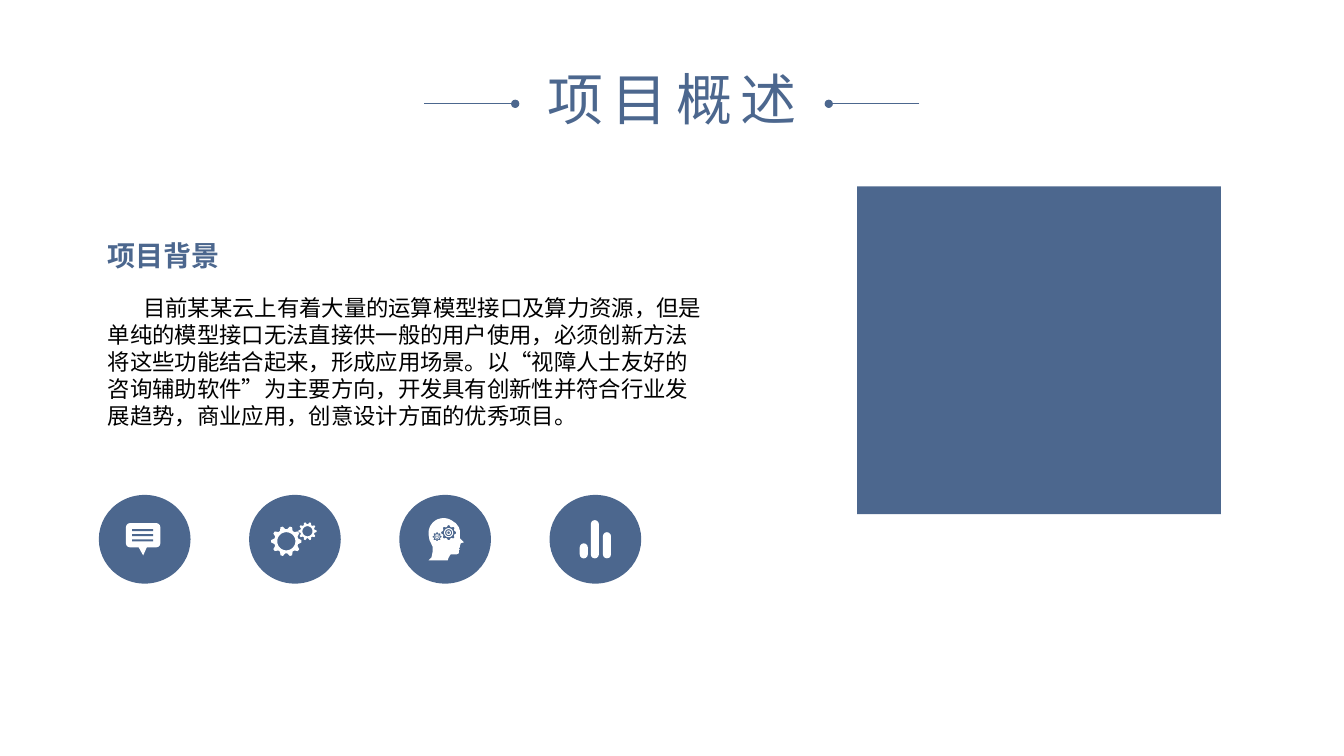
from dataclasses import dataclass
from math import cos, pi, sin

from lxml.etree import SubElement
from pptx import Presentation
from pptx.dml.color import RGBColor
from pptx.enum.shapes import MSO_CONNECTOR, MSO_SHAPE as SHAPE
from pptx.enum.text import MSO_AUTO_SIZE, PP_ALIGN as ALIGN
from pptx.oxml.ns import qn
from pptx.util import Pt


@dataclass(frozen=True)
class Theme:
    blue: RGBColor = RGBColor(0x4C, 0x67, 0x8E)
    white: RGBColor = RGBColor(0xFF, 0xFF, 0xFF)
    black: RGBColor = RGBColor(0, 0, 0)
    face: str = "Noto Sans CJK SC"
    title: int = 40
    heading: int = 20
    body: int = 16


theme = Theme()
PX = 9144

deck = Presentation()
deck.slide_width, deck.slide_height = 1333 * PX, 750 * PX
slide = deck.slides.add_slide(deck.slide_layouts[6])
shapes = slide.shapes


def wheel(x, y, radii):
    step = 2 * pi / len(radii)
    return [(x + r * cos((k - 0.5) * step), y + r * sin((k - 0.5) * step))
            for k, r in enumerate(radii)]


def paint(figure, color):
    figure.fill.solid()
    figure.fill.fore_color.rgb = color
    figure.line.fill.background()
    figure.shadow.inherit = False


texts = [
    ("项目概述", (516, 59, 301, 77), theme.title, theme.blue, ALIGN.CENTER),
    ("项目背景", (107, 220, 123, 45), theme.heading, theme.blue, ALIGN.JUSTIFY),
    ("目前某某云上有着大量的运算模型接口及算力资源，但是单纯的模型接口无法直接供一般的用户使用，"
     "必须创新方法将这些功能结合起来，形成应用场景。以“视障人士友好的咨询辅助软件”为主要方向，"
     "开发具有创新性并符合行业发展趋势，商业应用，创意设计方面的优秀项目。",
     (107, 292, 597, 135), theme.body, theme.black, ALIGN.LEFT),
]
for words, box, size, color, align in texts:
    frame = shapes.add_textbox(*(n * PX for n in box)).text_frame
    frame.word_wrap = True
    frame.auto_size = MSO_AUTO_SIZE.SHAPE_TO_FIT_TEXT
    paragraph = frame.paragraphs[0]
    paragraph.text = words
    paragraph.alignment = align
    font = paragraph.font
    font.size = Pt(size)
    font.color.rgb = color
    font.name = theme.face
    properties = paragraph._p.pPr
    defaults = properties.find(qn("a:defRPr"))
    SubElement(defaults, qn("a:ea"), typeface=theme.face)
    if size == theme.title:
        defaults.set("spc", "600")
    else:
        frame.margin_left = frame.margin_top = 0
        frame.margin_right = frame.margin_bottom = 0
    if size == theme.heading:
        font.bold = True
        paragraph.line_spacing = 1.5
    if size == theme.body:
        properties.set("indent", str(35 * PX))

for outer, inner in [(421, 511), (912, 822)]:
    rule = shapes.add_connector(
        MSO_CONNECTOR.STRAIGHT, outer * PX, 103 * PX, inner * PX, 103 * PX)
    rule.line.color.rgb = theme.blue
    rule.line.width = Pt(0.5)
    SubElement(rule.line._get_or_add_ln(), qn("a:tailEnd"), type="oval")
    SubElement(rule._element.spPr, qn("a:effectLst"))

panel = (SHAPE.RECTANGLE, (850, 185, 361, 325), theme.blue)
badges = [(SHAPE.OVAL, (98 + 149 * n, 491, 91, 88), theme.blue) for n in range(4)]
bubble = (SHAPE.ROUNDED_RECTANGLE, (125, 519, 34, 24), theme.white)
bubble_lines = [(SHAPE.RECTANGLE, (131, 525 + 5 * n, 21, 2), theme.blue)
                for n in range(3)]
bars = [(SHAPE.ROUNDED_RECTANGLE, (x, 554 - height, 8, height), theme.white)
        for x, height in [(575, 15), (586, 38), (598, 26)]]
for kind, box, color in [panel, *badges, bubble, *bubble_lines, *bars]:
    figure = shapes.add_shape(kind, *(n * PX for n in box))
    paint(figure, color)
    if kind == SHAPE.ROUNDED_RECTANGLE:
        figure.adjustments[0] = 0.5 if box[2] == 8 else 0.16

bubble_tail = [(137, 542), (146, 542), (142, 551)]
large_gear = wheel(284, 537, [15, 15, 12, 12] * 10)
small_gear = wheel(305, 527, [9, 9, 7, 7] * 10)
face_profile = [
    (452, 519), (455, 523), (456, 526), (456, 534), (459, 537), (460, 538),
    (457, 539), (456, 542), (456, 543), (455, 544), (456, 545), (455, 546),
    (455, 549), (453, 550), (447, 550), (445, 553), (444, 556), (425, 556),
    (428, 553), (429, 548), (429, 542), (426, 536), (425, 530)]
head = wheel(440, 529, [15] * 40)[21:36] + face_profile
left_cog = wheel(433.5, 532.5, [4.5, 4.5, 3.5, 3.5] * 8)
right_cog = wheel(445, 528.5, [7.5, 7.5, 6, 6] * 8)
rings = [[wheel(x, y, [radius] * 40) for radius in pair]
         for x, y, pair in [(433.5, 532.5, (2.5, 2)), (433.5, 532.5, (1.5, 0.6)),
                            (445, 528.5, (4.5, 3.5)), (445, 528.5, (2.3, 1.3))]]
outlines = [
    [bubble_tail],
    [large_gear, wheel(284, 537, [9] * 40)],
    [small_gear, wheel(305, 527, [5] * 40)],
    [head, left_cog, right_cog],
    *rings,
]
for contours in outlines:
    scaled = [[(x * PX, y * PX) for x, y in contour] for contour in contours]
    builder = shapes.build_freeform(*scaled[0][0])
    builder.add_line_segments(scaled[0][1:])
    for hole in scaled[1:]:
        builder.move_to(*hole[0])
        builder.add_line_segments(hole[1:])
    paint(builder.convert_to_shape(), theme.white)

deck.save("out.pptx")
